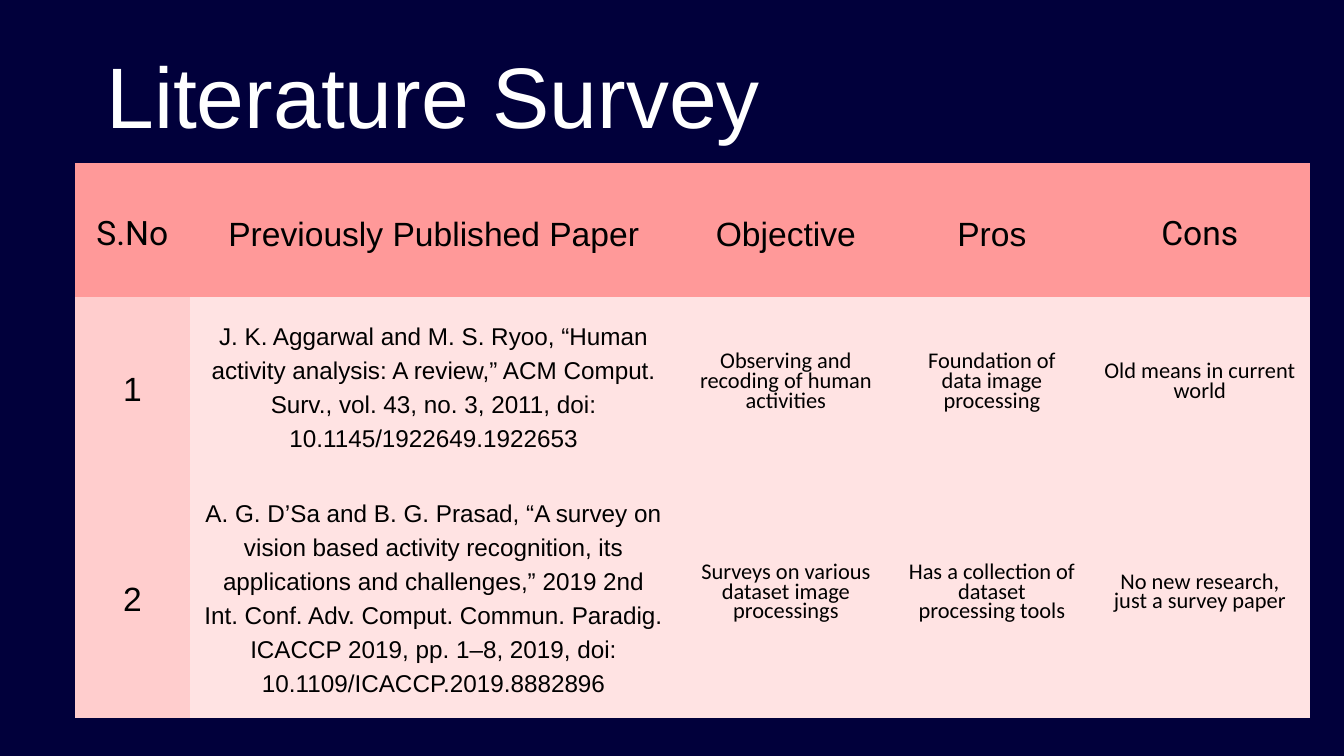
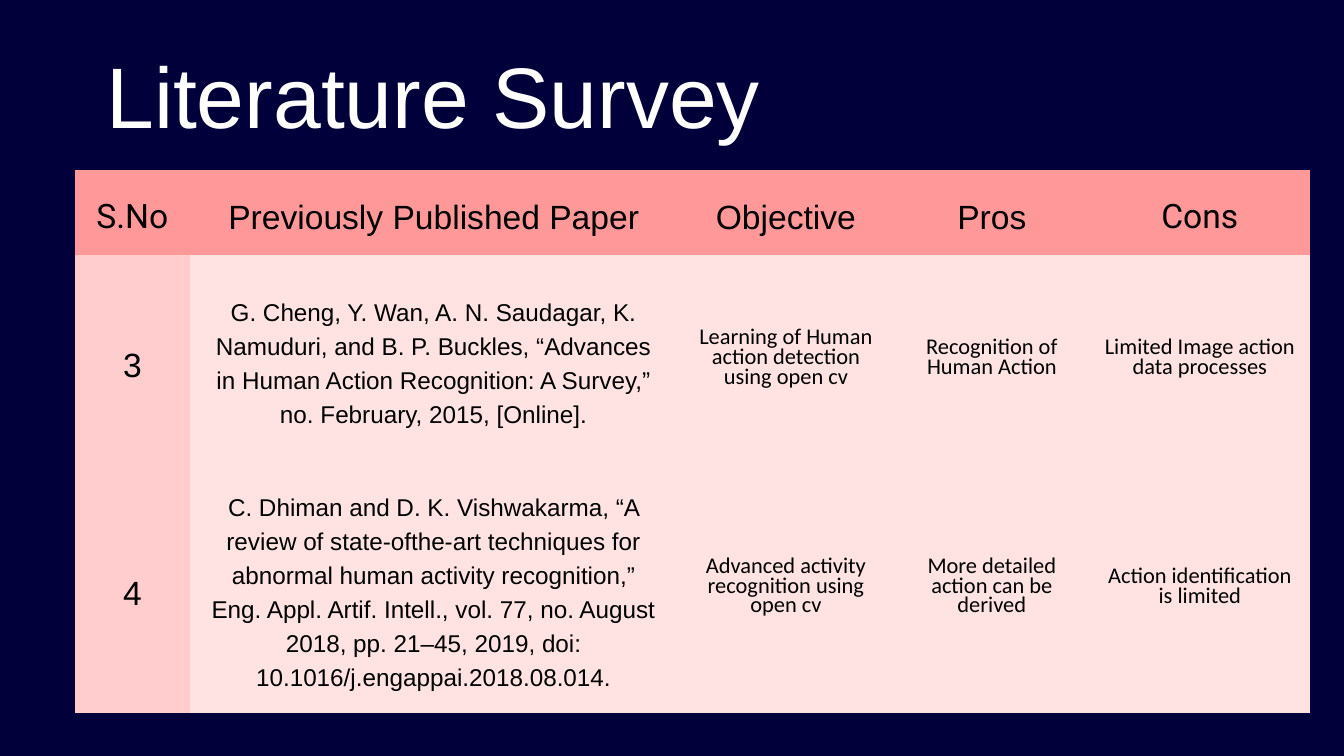
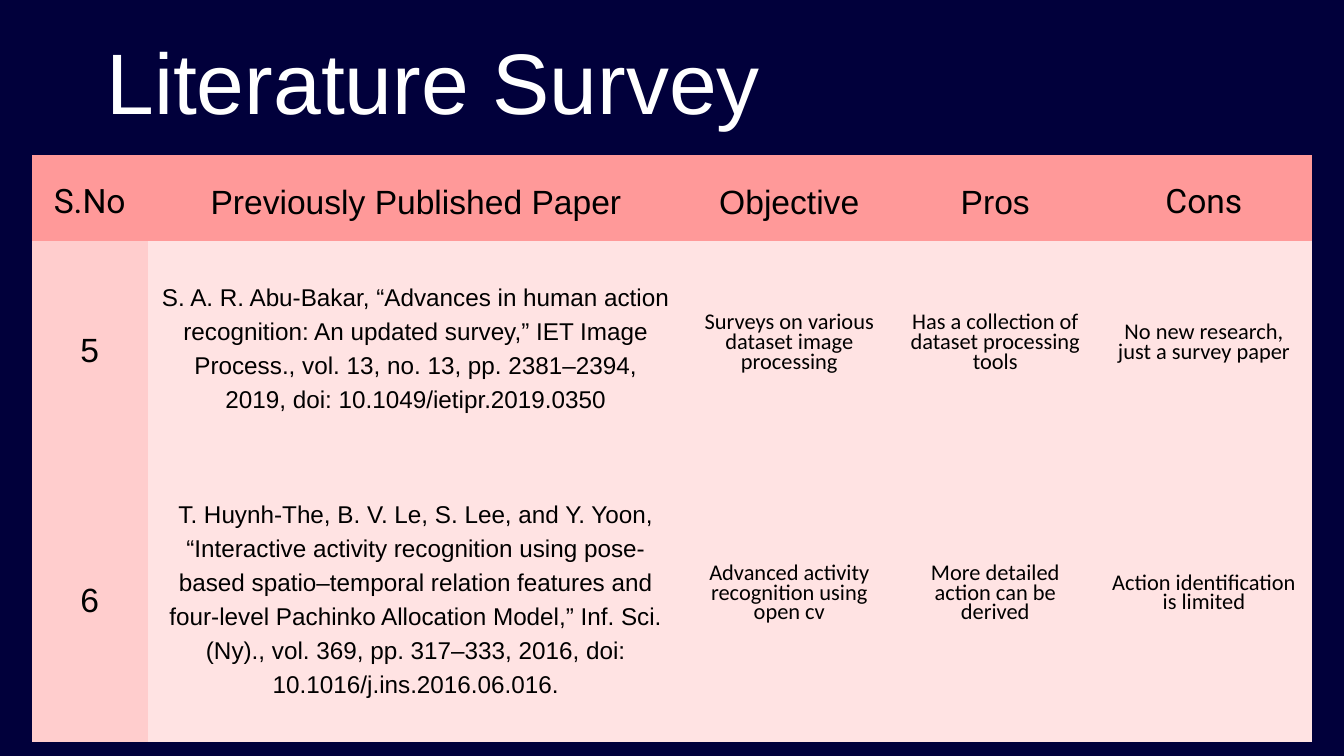
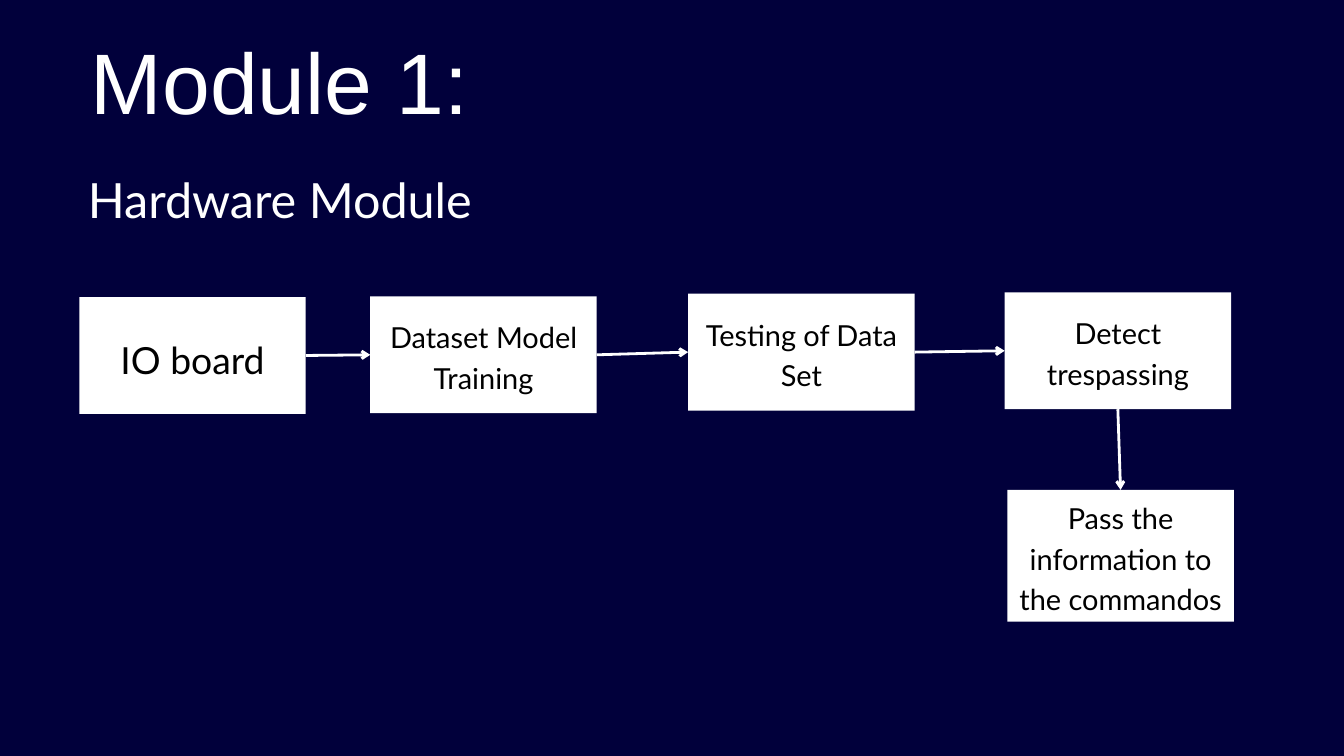
"""Build three literature survey tables and a hardware module flow chart."""
from lxml.etree import SubElement
from pptx import Presentation
from pptx.dml.color import RGBColor
from pptx.enum.shapes import MSO_CONNECTOR, MSO_SHAPE
from pptx.enum.text import MSO_ANCHOR, MSO_AUTO_SIZE, PP_ALIGN
from pptx.oxml.ns import qn
from pptx.util import Inches, Pt

NAVY, WHITE, BLACK = "01003B", "FFFFFF", "000000"
CORAL, ROSE, BLUSH = "FF9999", "FFCDCD", "FFE3E3"
MARGINS = ("margin_left", "margin_top", "margin_right", "margin_bottom")
LINE_RATIO = 1.4


def set_values(target, values):
    """Set each named attribute of the target."""
    for name, value in values.items():
        setattr(target, name, value)


def write_text(frame, text, font, size, colour, spacing=None):
    """Write one centred paragraph with exact line spacing."""
    paragraph = frame.paragraphs[0]
    set_values(paragraph, {
        "text": text,
        "alignment": PP_ALIGN.CENTER,
        "line_spacing": Pt(spacing or round(size * LINE_RATIO, 1)),
        "space_before": Pt(0),
    })
    run_font = paragraph.runs[0].font
    set_values(run_font, {"name": font, "size": Pt(size)})
    run_font.color.rgb = RGBColor.from_string(colour)


presentation = Presentation()
set_values(presentation, {"slide_width": Inches(20), "slide_height": Inches(11.25)})
background = presentation.slide_master.background.fill
background.solid()
background.fore_color.rgb = RGBColor.from_string(NAVY)

heading_frame = dict.fromkeys(MARGINS, 0) | {
    "word_wrap": True,
    "auto_size": MSO_AUTO_SIZE.NONE,
    "vertical_anchor": MSO_ANCHOR.TOP,
}
titles = [
    ("Literature Survey", 1.12, 0.38, 10.66),
    ("Literature Survey", 1.12, 0.38, 10.66),
    ("Literature Survey", 1.12, 0.17, 10.66),
    ("Module 1:", 1.18, 0.17, 5.96),
]
slides = []
for text, left, top, width in titles:
    slide = presentation.slides.add_slide(presentation.slide_layouts[5])
    title = slide.shapes.title
    set_values(title, {"left": Inches(left), "top": Inches(top),
                       "width": Inches(width), "height": Inches(1.71)})
    set_values(title.text_frame, heading_frame)
    write_text(title.text_frame, text, "Arial", 92, WHITE)
    slides.append(slide)

headers = ["S.No", "Previously Published Paper", "Objective", "Pros", "Cons"]
header_styles = [(font, 36, BLACK) for font in ("Roboto", "Arial", "Arial", "Arial", "Roboto")]
body_styles = [("Arial", 36, BLACK), ("Arial", 26, BLACK)] + [("Calibri", 24, BLACK, 21)] * 3
survey_columns = [1.7, 7.27, 3.21, 2.92, 3.27]
surveys = [
    (1.12, 2.42, survey_columns, [2, 2.61, 3.66], [
        ["1", "J. K. Aggarwal and M. S. Ryoo, “Human activity analysis: A review,” ACM Comput. "
         "Surv., vol. 43, no. 3, 2011, doi: 10.1145/1922649.1922653",
         "Observing and recoding of human activities", "Foundation of data image processing",
         "Old means in current world"],
        ["2", "A. G. D’Sa and B. G. Prasad, “A survey on vision based activity recognition, its "
         "applications and challenges,” 2019 2nd Int. Conf. Adv. Comput. Commun. Paradig. "
         "ICACCP 2019, pp. 1–8, 2019, doi: 10.1109/ICACCP.2019.8882896",
         "Surveys on various dataset image processings",
         "Has a collection of dataset processing tools", "No new research, just a survey paper"],
    ]),
    (1.12, 2.53, survey_columns, [1.27, 3.14, 3.67], [
        ["3", "G. Cheng, Y. Wan, A. N. Saudagar, K. Namuduri, and B. P. Buckles, “Advances in "
         "Human Action Recognition: A Survey,” no. February, 2015, [Online].",
         "Learning of Human action detection using open cv", "Recognition of Human Action",
         "Limited Image action data processes"],
        ["4", "C. Dhiman and D. K. Vishwakarma, “A review of state-ofthe-art techniques for "
         "abnormal human activity recognition,” Eng. Appl. Artif. Intell., vol. 77, no. August "
         "2018, pp. 21–45, 2019, doi: 10.1016/j.engappai.2018.08.014.",
         "Advanced activity recognition using open cv", "More detailed action can be derived",
         "Action identification is limited"],
    ]),
    (0.47, 2.31, [1.73, 7.98, 3.13, 3, 3.21], [1.27, 3.13, 4.33], [
        ["5", "S. A. R. Abu-Bakar, “Advances in human action recognition: An updated survey,” IET "
         "Image Process., vol. 13, no. 13, pp. 2381–2394, 2019, doi: 10.1049/ietipr.2019.0350",
         "Surveys on various dataset image processing",
         "Has a collection of dataset processing tools", "No new research, just a survey paper"],
        ["6", "T. Huynh-The, B. V. Le, S. Lee, and Y. Yoon, “Interactive activity recognition "
         "using pose-based spatio–temporal relation features and four-level Pachinko Allocation "
         "Model,” Inf. Sci. (Ny)., vol. 369, pp. 317–333, 2016, doi: 10.1016/j.ins.2016.06.016.",
         "Advanced activity recognition using open cv", "More detailed action can be derived",
         "Action identification is limited"],
    ]),
]
cell_format = dict.fromkeys(MARGINS, Inches(0.21)) | {"vertical_anchor": MSO_ANCHOR.MIDDLE}

for slide, (left, top, widths, heights, papers) in zip(slides, surveys):
    table = slide.shapes.add_table(
        len(heights), len(widths), Inches(left), Inches(top),
        Inches(sum(widths)), Inches(sum(heights))).table
    set_values(table, {"first_row": False, "horz_banding": False})
    for column, width in zip(table.columns, widths):
        column.width = Inches(width)
    for row, height in zip(table.rows, heights):
        row.height = Inches(height)
    for row_index, texts in enumerate([headers] + papers):
        styles = body_styles if row_index else header_styles
        for column_index, (text, style) in enumerate(zip(texts, styles)):
            cell = table.cell(row_index, column_index)
            set_values(cell, cell_format)
            write_text(cell.text_frame, text, *style)
            properties = cell._tc.get_or_add_tcPr()
            for side in ("a:lnL", "a:lnR", "a:lnT", "a:lnB"):
                border = SubElement(properties, qn(side), w="0")
                border_fill = SubElement(border, qn("a:solidFill"))
                SubElement(border_fill, qn("a:srgbClr"), val=CORAL)
            fill_colour = CORAL if row_index == 0 else ROSE if column_index == 0 else BLUSH
            cell.fill.solid()
            cell.fill.fore_color.rgb = RGBColor.from_string(fill_colour)

module_slide = slides[-1]
subtitle = module_slide.shapes.add_textbox(Inches(0.75), Inches(2.38), Inches(6.83), Inches(0.95))
set_values(subtitle.text_frame, heading_frame)
write_text(subtitle.text_frame, "Hardware Module", "Lato", 52, WHITE)

steps = [
    ("IO board", 1.18, 4.42, 1.74, 40),
    ("Dataset Model Training", 5.51, 4.41, 1.74, 31),
    ("Testing of Data Set", 10.24, 4.37, 1.74, 31),
    ("Detect trespassing", 14.95, 4.35, 1.74, 31),
    ("Pass the information to the commandos", 14.99, 7.29, 1.96, 31),
]
step_frame = dict.fromkeys(MARGINS, Inches(0.06)) | {
    "word_wrap": True, "vertical_anchor": MSO_ANCHOR.MIDDLE}
boxes = []
for text, left, top, height, size in steps:
    box = module_slide.shapes.add_shape(
        MSO_SHAPE.RECTANGLE, Inches(left), Inches(top), Inches(3.37), Inches(height))
    box.shadow.inherit = False
    box.fill.solid()
    box.fill.fore_color.rgb = RGBColor.from_string(WHITE)
    box.line.fill.background()
    set_values(box.text_frame, step_frame)
    write_text(box.text_frame, text, "Lato", size, BLACK)
    boxes.append(box)

sides = [(3, 1)] * 3 + [(2, 0)]
for start, end, (start_side, end_side) in zip(boxes, boxes[1:], sides):
    arrow = module_slide.shapes.add_connector(MSO_CONNECTOR.STRAIGHT, 0, 0, 0, 0)
    arrow.begin_connect(start, start_side)
    arrow.end_connect(end, end_side)
    arrow.line.width = Pt(3)
    arrow.line.color.rgb = RGBColor.from_string(WHITE)
    SubElement(arrow.line._get_or_add_ln(), qn("a:tailEnd"), type="arrow")
    SubElement(arrow._element.spPr, qn("a:effectLst"))

presentation.save("out.pptx")
